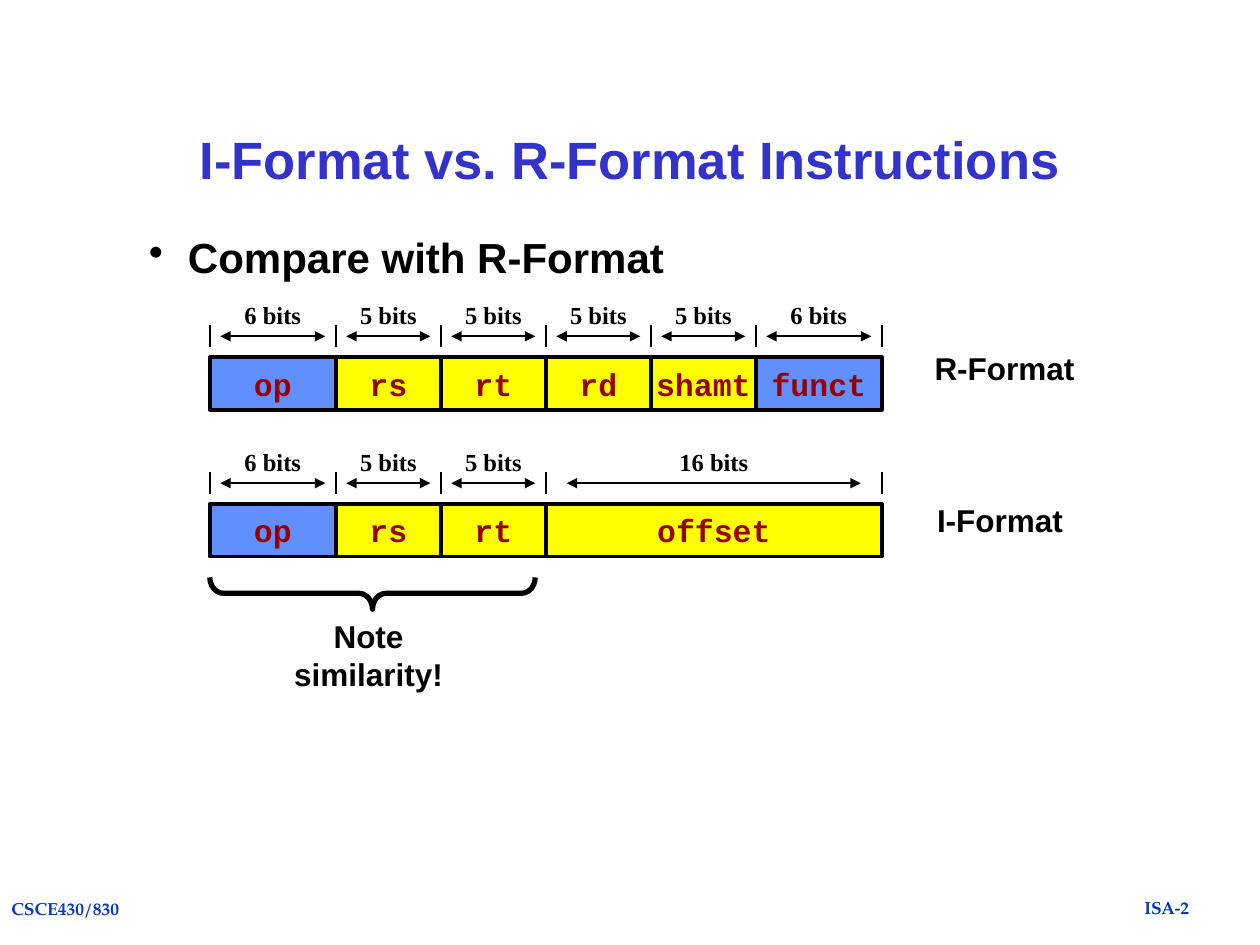
import pptx
import pptx.dml.color
import pptx.enum.shapes
import pptx.enum.text
import pptx.oxml.ns
import pptx.oxml.xmlchemy
import pptx.util

Cm = pptx.util.Cm
Pt = pptx.util.Pt
ALIGN = pptx.enum.text.PP_ALIGN
ANCHOR = pptx.enum.text.MSO_ANCHOR
AUTO_SIZE = pptx.enum.text.MSO_AUTO_SIZE
SHAPE = pptx.enum.shapes.MSO_SHAPE

BLACK = pptx.dml.color.RGBColor(0x00, 0x00, 0x00)
TITLE_BLUE = pptx.dml.color.RGBColor(0x33, 0x33, 0xCC)
FOOTER_BLUE = pptx.dml.color.RGBColor(0x02, 0x37, 0xBC)
FIELD_BLUE = pptx.dml.color.RGBColor(0x61, 0x8F, 0xFD)
FIELD_YELLOW = pptx.dml.color.RGBColor(0xFF, 0xFF, 0x00)
FIELD_RED = pptx.dml.color.RGBColor(0x99, 0x00, 0x00)

BIT_WIDTH = 2.54 / 6
WORD_LEFT = 4.23
ROW_HEIGHT = 2.33
BAR_HEIGHT = 1.06

TITLE_FONT = {"name": "Arial", "size": Pt(30), "bold": True}
BULLET_FONT = {"name": "Arial", "size": Pt(24), "bold": True}
NOTE_FONT = {"name": "Arial", "size": Pt(18), "bold": True}
FIELD_FONT = {"name": "Courier New", "size": Pt(18), "bold": True}
BITS_FONT = {"name": "Times New Roman", "size": Pt(14), "bold": True}
FOOTER_FONT = {"name": "TeX Gyre Pagella", "size": Pt(10), "bold": True}

R_FIELDS = [("op", 6, FIELD_BLUE), ("rs", 5, FIELD_YELLOW), ("rt", 5, FIELD_YELLOW),
            ("rd", 5, FIELD_YELLOW), ("shamt", 5, FIELD_YELLOW), ("funct", 6, FIELD_BLUE)]
I_FIELDS = R_FIELDS[:3] + [("offset", 16, FIELD_YELLOW)]


def write_text(shape, text, font, color, align=ALIGN.CENTER, **frame_format):
    """Write one formatted paragraph into a shape and return the paragraph."""
    frame = shape.text_frame
    for name, value in frame_format.items():
        setattr(frame, name, value)
    para = frame.paragraphs[0]
    para.alignment = align
    span = para.add_run()
    span.text = text
    for name, value in font.items():
        setattr(span.font, name, value)
    span.font.color.rgb = color
    return para


def add_label(page, box, text, font, color=BLACK, align=ALIGN.CENTER):
    """Add a single-line text box that fits its text."""
    label = page.shapes.add_textbox(*map(Cm, box))
    write_text(label, text, font, color, align, word_wrap=False,
               auto_size=AUTO_SIZE.SHAPE_TO_FIT_TEXT)


def add_line(page, start, end, double_arrow=False):
    """Add a thin black line, with arrowheads at both ends if wanted."""
    line = page.shapes.add_connector(pptx.enum.shapes.MSO_CONNECTOR.STRAIGHT,
                                     *map(Cm, start + end))
    line.line.color.rgb = BLACK
    line.line.width = Pt(1)
    properties = line.element.spPr
    if double_arrow:
        stroke = properties.find(pptx.oxml.ns.qn("a:ln"))
        for tag in ("a:headEnd", "a:tailEnd"):
            end_mark = pptx.oxml.xmlchemy.OxmlElement(tag)
            end_mark.set("type", "triangle")
            stroke.append(end_mark)
    properties.append(pptx.oxml.xmlchemy.OxmlElement("a:effectLst"))


def add_title(page, box, text):
    """Place and format the title placeholder."""
    title = page.shapes.title
    title.left, title.top, title.width, title.height = map(Cm, box)
    para = write_text(title, text, TITLE_FONT, TITLE_BLUE, word_wrap=True,
                      vertical_anchor=ANCHOR.MIDDLE, auto_size=AUTO_SIZE.NONE)
    para.line_spacing = 0.9


def add_bullet(page, box, text):
    """Add the bulleted statement."""
    body = page.shapes.add_textbox(*map(Cm, box))
    para = write_text(body, text, BULLET_FONT, BLACK, ALIGN.LEFT, word_wrap=True)
    properties = para._p.get_or_add_pPr()
    properties.set("marL", str(Cm(0.79)))
    properties.set("indent", str(-Cm(0.79)))
    bullet = pptx.oxml.xmlchemy.OxmlElement("a:buChar")
    bullet.set("char", "•")
    properties.append(bullet)
    para.line_spacing = 0.9


def add_field(page, box, name, bits, color):
    """Add one field: its bit count, its double arrow and its named cell."""
    left, top, width, height = box
    inset = BIT_WIDTH * (1 if bits > 6 else 0.5)
    arrow_y = top + 0.85
    add_label(page, (left, top, width, 0.86), f"{bits} bits", BITS_FONT)
    add_line(page, (left + inset, arrow_y), (left + width - inset, arrow_y), True)
    cell = page.shapes.add_shape(
        SHAPE.RECTANGLE, *map(Cm, (left, top + height - BAR_HEIGHT, width, BAR_HEIGHT)))
    cell.shadow.inherit = False
    cell.fill.solid()
    cell.fill.fore_color.rgb = color
    cell.line.color.rgb = BLACK
    cell.line.width = Pt(2.25)
    write_text(cell, name, FIELD_FONT, FIELD_RED, word_wrap=False,
               vertical_anchor=ANCHOR.MIDDLE)


def add_format_row(page, box, fields):
    """Add an instruction word split into fields, with ticks at the borders."""
    left, top, width, height = box
    bit_width = width / sum(bits for name, bits, color in fields)
    edges = [left]
    for name, bits, color in fields:
        field_width = bits * bit_width
        add_field(page, (edges[-1], top, field_width, height), name, bits, color)
        edges.append(edges[-1] + field_width)
    for edge in edges:
        add_line(page, (edge, top + 1.06), (edge, top + 0.63))


def add_similarity_note(page, box, text):
    """Add a brace opening upward across the box, with a note below it."""
    left, top, width, height = box
    depth = 0.64
    brace = page.shapes.add_shape(
        SHAPE.LEFT_BRACE, Cm(left + (width - depth) / 2), Cm(top + (depth - width) / 2),
        Cm(depth), Cm(width))
    brace.rotation = 270
    brace.adjustments[0] = 0.43
    brace.shadow.inherit = False
    brace.fill.background()
    brace.line.color.rgb = BLACK
    brace.line.width = Pt(3)
    add_label(page, (left + 0.66, top + height - 1.02, 5.08, 1.02), text, NOTE_FONT)


def add_footer(page, box):
    """Add the course name at the left and the page mark at the right."""
    left, top, width, height = box
    add_label(page, (left, top + 0.02, 2.69, height), "CSCE430/830", FOOTER_FONT, FOOTER_BLUE)
    add_label(page, (left + width - 1.42, top, 1.42, height), "ISA-2", FOOTER_FONT, FOOTER_BLUE)


def main():
    """Build the deck and save it."""
    deck = pptx.Presentation()
    deck.slide_width, deck.slide_height = Cm(25.4), Cm(19.05)
    page = deck.slides.add_slide(deck.slide_layouts[5])
    add_title(page, (2.75, 1.69, 19.9, 3.18), "I-Format vs. R-Format Instructions")
    add_bullet(page, (2.75, 4.66, 19.9, 1.2), "Compare with R-Format")
    rows = [(5.93, R_FIELDS, "R-Format", (18.59, 6.91, 3.33, 1.02)),
            (8.89, I_FIELDS, "I-Format", (18.64, 9.98, 3.05, 1.02))]
    for top, fields, name, name_box in rows:
        add_format_row(page, (WORD_LEFT, top, 32 * BIT_WIDTH, ROW_HEIGHT), fields)
        add_label(page, name_box, name, NOTE_FONT, align=ALIGN.LEFT)
    add_similarity_note(page, (WORD_LEFT, 11.64, 6.56, 1.7), "Note similarity!")
    add_footer(page, (-0.03, 17.96, 24.26, 0.66))
    deck.save("out.pptx")


if __name__ == "__main__":
    main()
